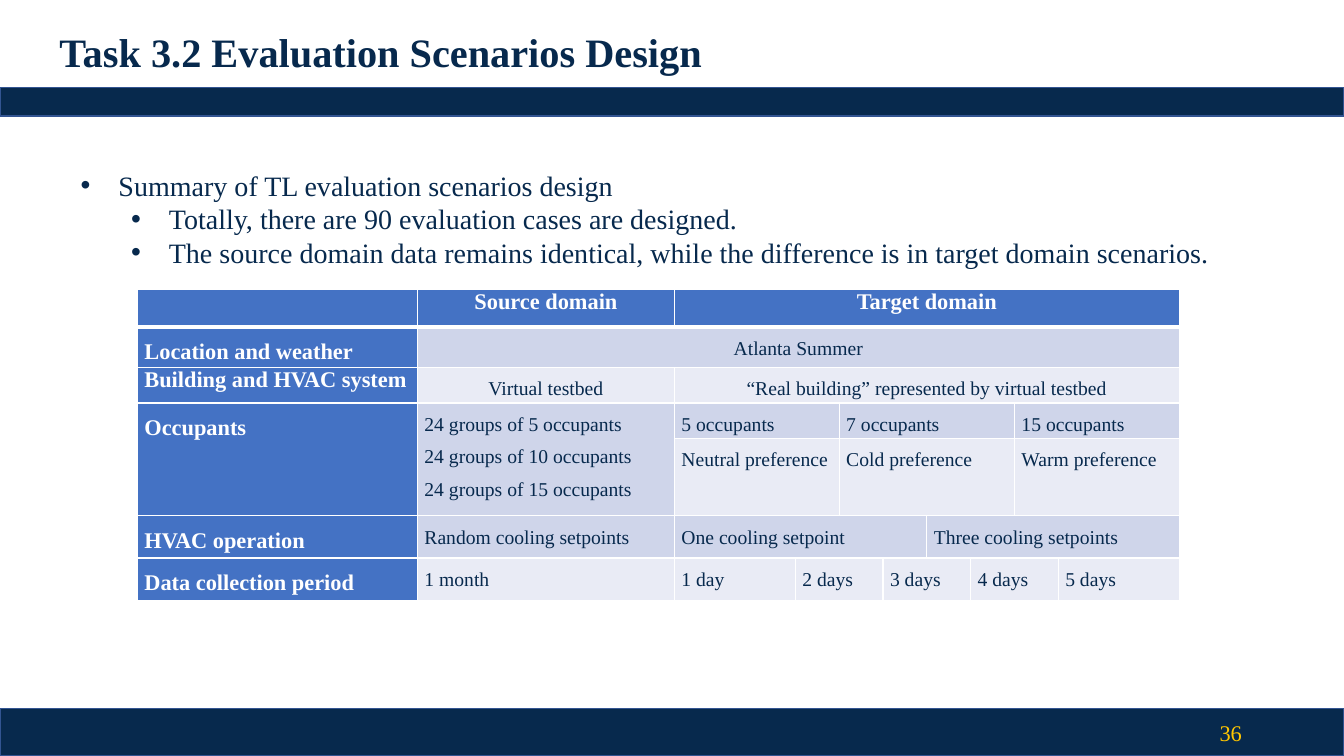
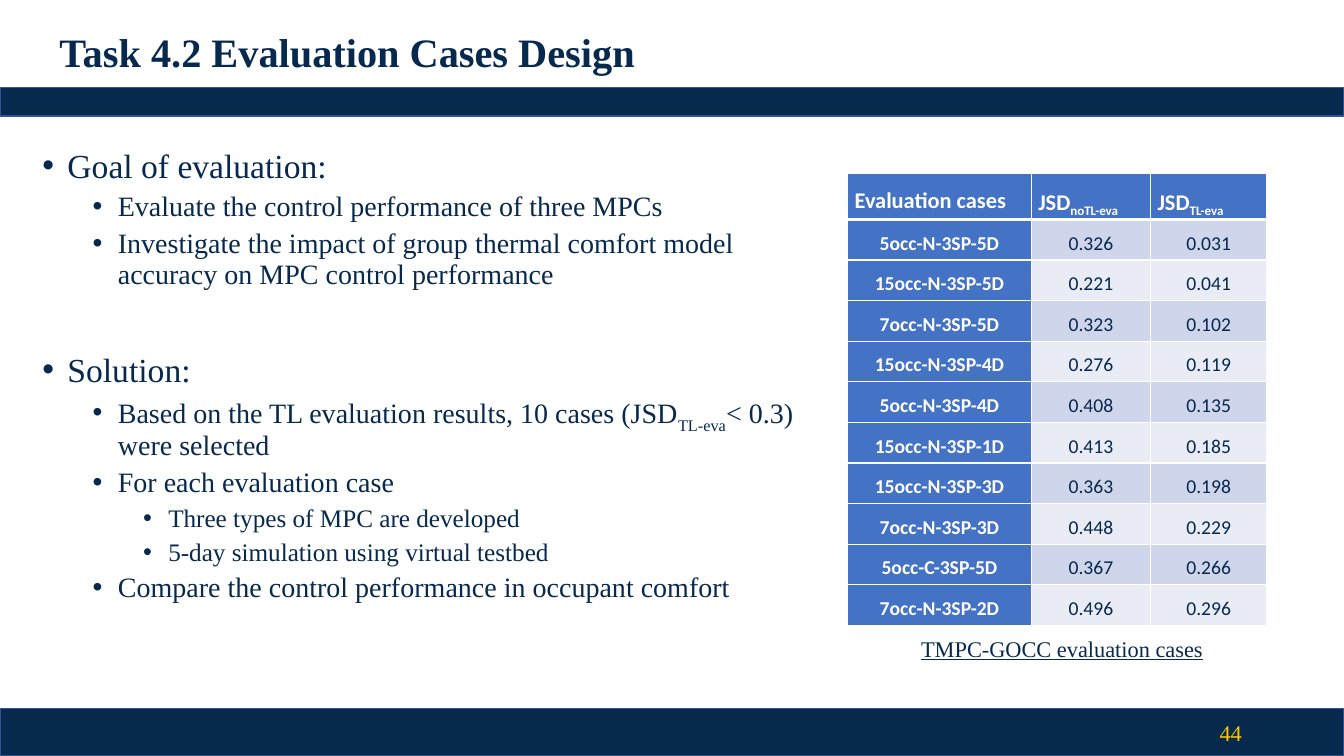
from lxml import etree
from pptx import Presentation
from pptx.dml.color import RGBColor
from pptx.enum.shapes import MSO_SHAPE
from pptx.enum.text import MSO_ANCHOR, MSO_AUTO_SIZE, PP_ALIGN
from pptx.oxml.ns import qn
from pptx.util import Pt

RECTANGLE = MSO_SHAPE.RECTANGLE
MIDDLE = MSO_ANCHOR.MIDDLE
NO_AUTOFIT = MSO_AUTO_SIZE.NONE
LEFT, CENTER, RIGHT = PP_ALIGN.LEFT, PP_ALIGN.CENTER, PP_ALIGN.RIGHT

COLORS = {
    "navy": "07294D",
    "band_line": "325491",
    "gold": "FFC600",
    "white": "FFFFFF",
    "header": "4472C4",
    "odd_row": "CFD5EA",
    "even_row": "E9EBF5",
}
SERIF, SANS = "Times New Roman", "Calibri"
SLIDE_WIDTH, SLIDE_HEIGHT = 960, 540
TITLE_BOX = (35.3, 28.8, 859.2, 20.2)
NUMBER_BOX = (678.2, 509, 216, 28.8)
BANDS = [(0, 506, SLIDE_WIDTH, 34), (0, 62.6, SLIDE_WIDTH, 20.2)]

SUMMARY_STYLE = {"sizes": (20, 20), "hanging": 27, "before": (0, 0), "spacing": 1.0}
OUTLINE_STYLE = {"sizes": (24, 20, 18), "hanging": 18, "before": (10, 5, 5), "spacing": 0.9}
SECTION_GAP = 45

SUMMARY = [
    (0, "Summary of TL evaluation scenarios design"),
    (1, "Totally, there are 90 evaluation cases are designed."),
    (1, "The source domain data remains identical, while the difference is in target domain scenarios."),
]
OUTLINE = [
    (0, "Goal of evaluation:"),
    (1, "Evaluate the control performance of three MPCs"),
    (1, "Investigate the impact of group thermal comfort model accuracy on MPC control performance"),
    (0, "Solution:"),
    (1, "Based on the TL evaluation results, 10 cases (JSD~TL-eva~< 0.3) were selected"),
    (1, "For each evaluation case"),
    (2, "Three types of MPC are developed"),
    (2, "5-day simulation using virtual testbed"),
    (1, "Compare the control performance in occupant comfort"),
]

SCENARIO_COLUMNS = [200, 183.6, 86.4] + [31.3] * 6 + [86.4]
SCENARIO_HEIGHTS = [27, 24.5, 24.5, 24.5, 55.4, 30.2, 30.2]
SCENARIO_FILLS = ["header", "odd_row", "even_row", "odd_row", "even_row", "odd_row", "even_row"]
SCENARIO_ROWS = [
    [(1, 1, "Source domain"), (2, 8, "Target domain")],
    [(0, 1, "Location and weather"), (1, 9, "Atlanta Summer")],
    [(0, 1, "Building and HVAC system"), (1, 1, "Virtual testbed"),
     (2, 8, "“Real building” represented by virtual testbed")],
    [(0, 1, "Occupants"),
     (1, 1, "24 groups of 5 occupants\n24 groups of 10 occupants\n24 groups of 15 occupants"),
     (2, 2, "5 occupants"), (4, 4, "7 occupants"), (8, 2, "15 occupants")],
    [(2, 2, "Neutral preference"), (4, 4, "Cold preference"), (8, 2, "Warm preference")],
    [(0, 1, "HVAC operation"), (1, 1, "Random cooling setpoints"),
     (2, 4, "One cooling setpoint"), (6, 4, "Three cooling setpoints")],
    [(0, 1, "Data collection period"), (1, 1, "1 month"), (2, 1, "1 day"),
     (3, 2, "2 days"), (5, 2, "3 days"), (7, 2, "4 days"), (9, 1, "5 days")],
]
OCCUPANTS_ROW = 3

CASE_COLUMNS = [131.2, 85.2, 83]
CASE_ROW_HEIGHT = 29
CASE_ROWS = [
    ("Evaluation cases", "JSD~noTL-eva", "JSD~TL-eva"),
    ("5occ-N-3SP-5D", "0.326", "0.031"),
    ("15occ-N-3SP-5D", "0.221", "0.041"),
    ("7occ-N-3SP-5D", "0.323", "0.102"),
    ("15occ-N-3SP-4D", "0.276", "0.119"),
    ("5occ-N-3SP-4D", "0.408", "0.135"),
    ("15occ-N-3SP-1D", "0.413", "0.185"),
    ("15occ-N-3SP-3D", "0.363", "0.198"),
    ("7occ-N-3SP-3D", "0.448", "0.229"),
    ("5occ-C-3SP-5D", "0.367", "0.266"),
    ("7occ-N-3SP-2D", "0.496", "0.296"),
]


def rgb(name):
    return RGBColor.from_string(COLORS[name])


def points(box):
    return [Pt(length) for length in box]


def place(shape, box):
    shape.left, shape.top, shape.width, shape.height = points(box)


def set_font(paragraph, size, color, name=SERIF, bold=False):
    font = paragraph.font
    font.size, font.name, font.bold = Pt(size), name, bold
    font.color.rgb = rgb(color)


def write_runs(paragraph, text):
    for index, part in enumerate(text.split("~")):
        run = paragraph.add_run()
        run.text = part
        if index % 2:
            run._r.get_or_add_rPr().set("baseline", "-25000")


def add_bullet(paragraph, margin, hanging):
    properties = paragraph._p.get_or_add_pPr()
    properties.set("marL", str(Pt(margin)))
    properties.set("indent", str(-Pt(hanging)))
    etree.SubElement(properties, qn("a:buFont")).set("typeface", "Arial")
    etree.SubElement(properties, qn("a:buChar")).set("char", "•")


def add_master_bands(presentation, slide):
    for box in BANDS:
        band = slide.shapes.add_shape(RECTANGLE, *points(box))
        band.shadow.inherit = False
        band.fill.solid()
        band.fill.fore_color.rgb = rgb("navy")
        band.line.color.rgb = rgb("band_line")
        band.line.width = Pt(1)
        presentation.slide_master.shapes.element.append(band._element)


def add_text_box(slide, box, text, color):
    frame = slide.shapes.add_textbox(*points(box)).text_frame
    frame.word_wrap = True
    paragraph = frame.paragraphs[0]
    write_runs(paragraph, text)
    set_font(paragraph, 16, color)
    return frame


def add_slide(presentation, title_text, number):
    slide = presentation.slides.add_slide(presentation.slide_layouts[1])
    title = slide.shapes.title
    place(title, TITLE_BOX)
    frame = title.text_frame
    frame.auto_size, frame.vertical_anchor = NO_AUTOFIT, MIDDLE
    paragraph = frame.paragraphs[0]
    write_runs(paragraph, title_text)
    paragraph.alignment, paragraph.line_spacing = LEFT, 0.9
    set_font(paragraph, 28.8, "navy", bold=True)
    number_frame = add_text_box(slide, NUMBER_BOX, number, "gold")
    number_frame.vertical_anchor = MIDDLE
    number_frame.paragraphs[0].alignment = RIGHT
    return slide


def fill_list(slide, box, items, style, section_gap=0):
    body = slide.placeholders[1]
    place(body, box)
    frame = body.text_frame
    frame.auto_size = NO_AUTOFIT
    for index, (level, text) in enumerate(items):
        paragraph = frame.add_paragraph() if index else frame.paragraphs[0]
        paragraph.level = level
        add_bullet(paragraph, style["hanging"] + 36 * level, style["hanging"])
        paragraph.line_spacing = style["spacing"]
        before = style["before"][level] if level else section_gap
        paragraph.space_before = Pt(before if index else 0)
        set_font(paragraph, style["sizes"][level], "navy")
        write_runs(paragraph, text)


def set_borders(cell, row):
    properties = cell._tc.get_or_add_tcPr()
    widths = {"lnL": 1, "lnR": 1, "lnT": 3 if row == 1 else 1, "lnB": 1 if row else 3}
    for index, (side, width) in enumerate(widths.items()):
        line = etree.Element(qn("a:" + side), w=str(Pt(width)))
        fill = etree.SubElement(line, qn("a:solidFill"))
        etree.SubElement(fill, qn("a:srgbClr")).set("val", COLORS["white"])
        properties.insert(index, line)


def add_grid(slide, left, top, widths, heights, fills):
    box = (left, top, sum(widths), sum(heights))
    table = slide.shapes.add_table(len(heights), len(widths), *points(box)).table
    table.first_row = table.horz_banding = False
    for column, width in zip(table.columns, widths):
        column.width = Pt(width)
    for row_index, height in enumerate(heights):
        table.rows[row_index].height = Pt(height)
        for column_index in range(len(widths)):
            cell = table.cell(row_index, column_index)
            cell.margin_left = cell.margin_right = Pt(5)
            cell.margin_top = cell.margin_bottom = 0
            cell.fill.solid()
            cell.fill.fore_color.rgb = rgb(fills[row_index] if column_index else "header")
            set_borders(cell, row_index)
    return table


def write_cell(cell, text, size, header, alignment, name=SERIF, spacing=1.5):
    frame = cell.text_frame
    for index, line in enumerate(text.split("\n")):
        paragraph = frame.add_paragraph() if index else frame.paragraphs[0]
        paragraph.alignment, paragraph.line_spacing = alignment, spacing
        set_font(paragraph, size, "white" if header else "navy", name, header)
        write_runs(paragraph, line)


def add_scenario_table(slide, left, top):
    table = add_grid(slide, left, top, SCENARIO_COLUMNS, SCENARIO_HEIGHTS, SCENARIO_FILLS)
    for column in (0, 1):
        table.cell(OCCUPANTS_ROW, column).merge(table.cell(OCCUPANTS_ROW + 1, column))
    for row, entries in enumerate(SCENARIO_ROWS):
        for column, span, text in entries:
            cell = table.cell(row, column)
            if span > 1:
                cell.merge(table.cell(row, column + span - 1))
            header = row == 0 or column == 0
            alignment = CENTER if column and row < OCCUPANTS_ROW else LEFT
            single = row == 0 or (row, column) == (2, 0)
            write_cell(cell, text, 16 if header else 14, header, alignment,
                       spacing=1.0 if single else 1.5)


def add_case_table(slide, left, top):
    count = len(CASE_ROWS)
    fills = ["header"] + ["even_row" if row % 2 else "odd_row" for row in range(count - 1)]
    table = add_grid(slide, left, top, CASE_COLUMNS, [CASE_ROW_HEIGHT] * count, fills)
    for row, texts in enumerate(CASE_ROWS):
        for column, text in enumerate(texts):
            write_cell(table.cell(row, column), text, 14 if row else 16,
                       row == 0 or column == 0, CENTER if row else LEFT, SANS)


def build_scenarios_slide(presentation):
    slide = add_slide(presentation, "Task 3.2 Evaluation Scenarios Design", "36")
    add_master_bands(presentation, slide)
    fill_list(slide, (50.4, 116.6, 850.3, 80), SUMMARY, SUMMARY_STYLE)
    add_scenario_table(slide, 98.2, 206.8)


def build_cases_slide(presentation):
    slide = add_slide(presentation, "Task 4.2 Evaluation Cases Design", "44")
    fill_list(slide, (23, 103, 558.7, 400), OUTLINE, OUTLINE_STYLE, SECTION_GAP)
    add_case_table(slide, 605.5, 124)
    caption = add_text_box(slide, (650.9, 450, 237.6, 26.6), "TMPC-GOCC evaluation cases", "navy")
    caption.paragraphs[0].font.underline = True


def main():
    presentation = Presentation()
    presentation.slide_width, presentation.slide_height = Pt(SLIDE_WIDTH), Pt(SLIDE_HEIGHT)
    build_scenarios_slide(presentation)
    build_cases_slide(presentation)
    presentation.save("out.pptx")


if __name__ == "__main__":
    main()
